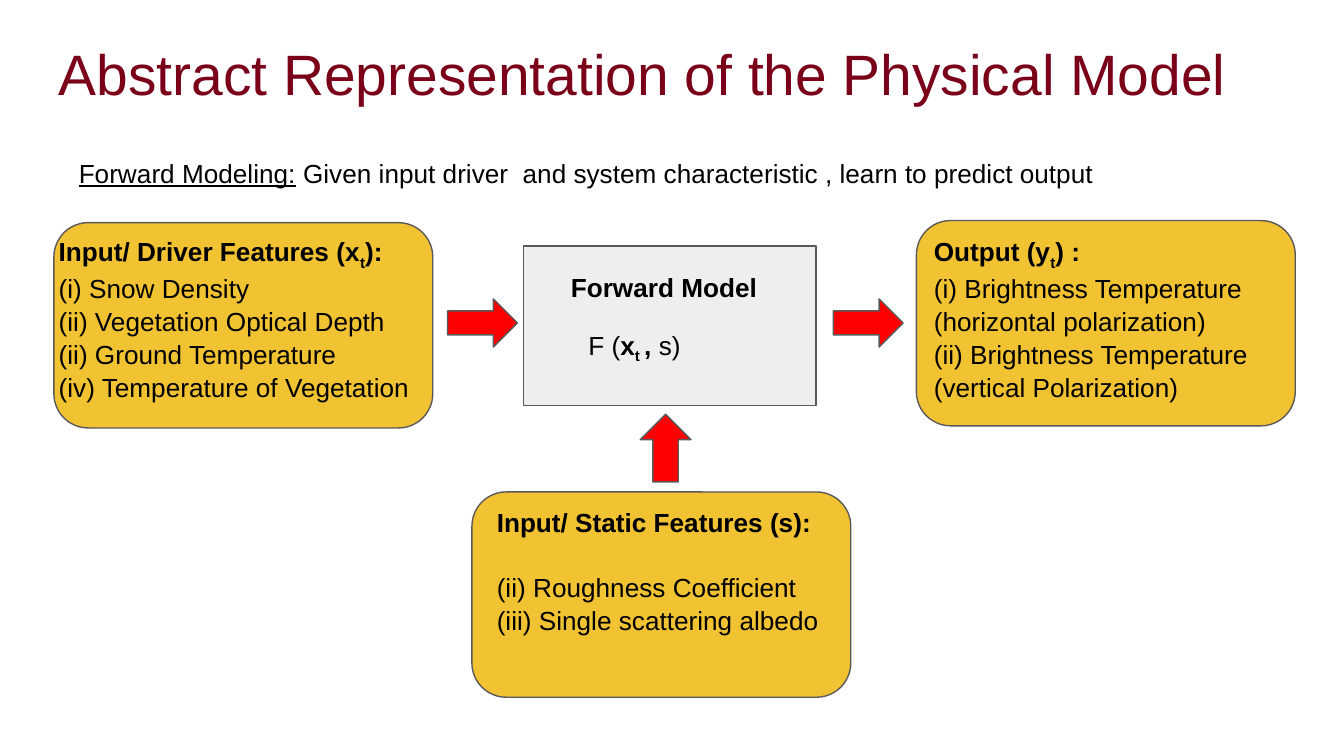
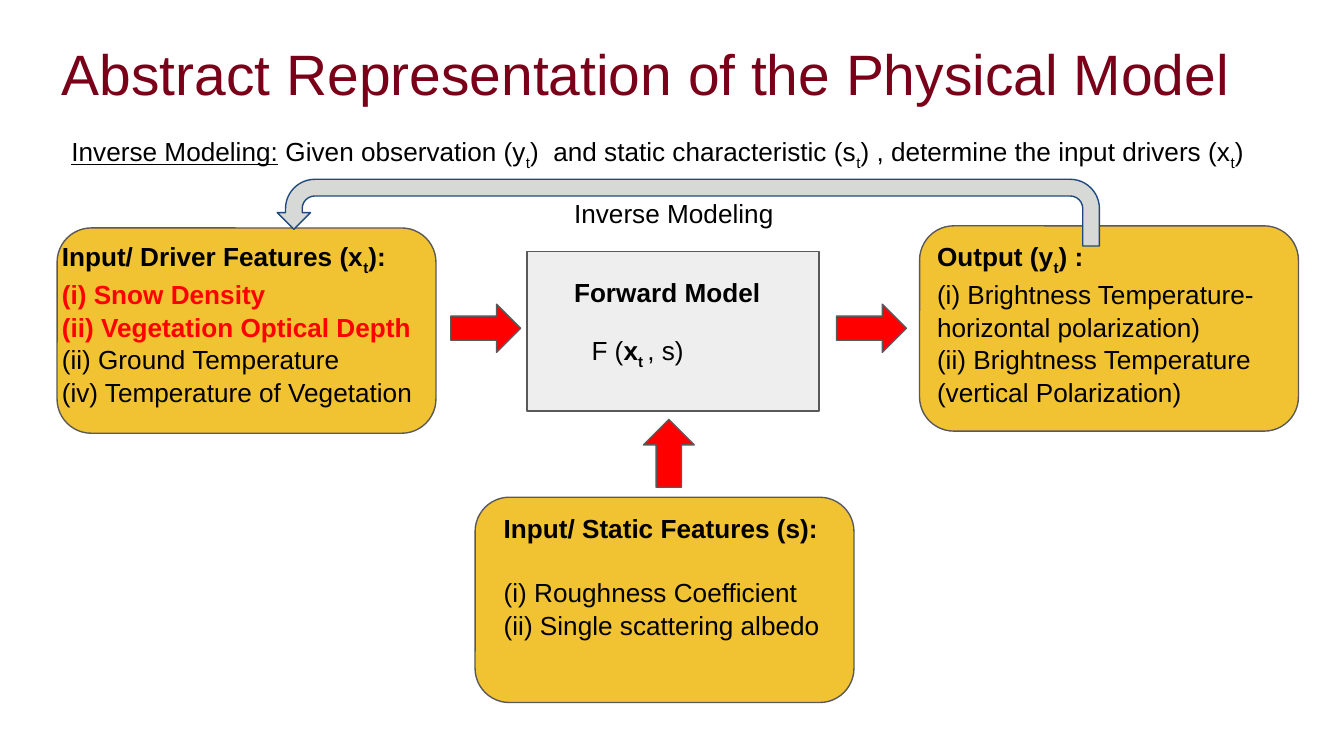
from pptx import Presentation
from pptx.dml.color import RGBColor
from pptx.enum.shapes import MSO_SHAPE as Preset
from pptx.enum.text import MSO_ANCHOR as Anchor, MSO_AUTO_SIZE as AutoSize, PP_ALIGN as Align
from pptx.oxml.ns import qn
from pptx.util import Cm, Pt

MAROON = RGBColor(0x7A, 0x00, 0x19)
GOLD = RGBColor(0xF1, 0xC2, 0x32)
PALE = RGBColor(0xEE, 0xEE, 0xEE)
SILVER = RGBColor(0xD7, 0xD9, 0xD7)
RED = RGBColor(0xFF, 0x00, 0x00)
BLACK = RGBColor(0x00, 0x00, 0x00)
GREY = RGBColor(0x59, 0x59, 0x59)
NAVY = RGBColor(0x1F, 0x49, 0x7D)

FONT = "Arial"
BODY_SIZE = 14
LINE_SPACING = 1.05
INSET = Cm(0.25)
TITLE_ONLY = 5

TITLE = "Abstract Representation of the Physical Model"
LINE_HEIGHT = 1.12
BOX_SIZE = (7.16, 3.88)
ARROW_SIZE = (1.32, 0.91)

# A line is a list of (text, style) runs; style letters:
# b bold, u underlined, s subscript, r red.
DRIVER_HEADING = [("Input/ Driver Features (x", "b"), ("t", "bs"), ("):", "b")]
OUTPUT_HEADING = [("Output (y", "b"), ("t", "bs"), (") :", "b")]
STATIC_HEADING = [("Input/ Static Features (s):", "b")]
DRIVERS = ["(i) Snow Density", "(ii) Vegetation Optical Depth",
           "(ii) Ground Temperature", "(iv) Temperature of Vegetation"]
FORMULA_START = [("F (", ""), ("x", "b"), ("t ", "bs")]


def plain(*texts, style=""):
    """Turn each text into a line of one run."""
    return [[(text, style)] for text in texts]


class Deck:
    def __init__(self):
        self.presentation = Presentation()
        self.presentation.slide_width = Cm(25.4)
        self.presentation.slide_height = Cm(14.29)
        self.slide = None
        self.shift = (0, 0)

    def new_slide(self, shift=(0, 0)):
        """Start a slide whose elements all move by shift."""
        layout = self.presentation.slide_layouts[TITLE_ONLY]
        self.slide = self.presentation.slides.add_slide(layout)
        self.shift = shift

    def place(self, left, top, width, height):
        dx, dy = self.shift
        return Cm(left + dx), Cm(top + dy), Cm(width), Cm(height)

    def set_frame(self, frame, anchor, auto_size):
        frame.word_wrap = True
        frame.vertical_anchor = anchor
        frame.auto_size = auto_size
        frame.margin_left = frame.margin_right = INSET
        frame.margin_top = frame.margin_bottom = INSET

    def set_font(self, run, size, color, style=""):
        font = run.font
        font.name, font.size = FONT, Pt(size)
        font.color.rgb = RED if "r" in style else color
        font.bold = "b" in style
        font.underline = "u" in style
        if "s" in style:
            run._r.get_or_add_rPr().set("baseline", "-25000")

    def title(self, text):
        title = self.slide.shapes.title
        title.left, title.top, title.width, title.height = (
            self.place(0.86, 0.7, 23.67, 1.6))
        frame = title.text_frame
        frame.text = text
        self.set_frame(frame, Anchor.MIDDLE, AutoSize.NONE)
        paragraph = frame.paragraphs[0]
        paragraph.alignment = Align.LEFT
        paragraph.line_spacing = 0.8
        self.set_font(paragraph.runs[0], 30.5, MAROON)

    def text(self, left, top, width, height, lines, heading_gap=0):
        """Write lines of runs; heading_gap is the space after the first."""
        box = self.slide.shapes.add_textbox(*self.place(left, top, width, height))
        frame = box.text_frame
        self.set_frame(frame, Anchor.TOP, AutoSize.SHAPE_TO_FIT_TEXT)
        for number, line in enumerate(lines):
            paragraph = frame.add_paragraph() if number else frame.paragraphs[0]
            paragraph.line_spacing = LINE_SPACING
            if number == 0:
                paragraph.space_after = Pt(heading_gap)
            for text, style in line:
                run = paragraph.add_run()
                run.text = text
                self.set_font(run, BODY_SIZE, BLACK, style)

    def shape(self, preset, left, top, width, height, fill, line=GREY):
        shape = self.slide.shapes.add_shape(
            preset, *self.place(left, top, width, height))
        shape.shadow.inherit = False
        shape.fill.solid()
        shape.fill.fore_color.rgb = fill
        shape.line.color.rgb = line
        shape.line.width = Pt(0.75)
        return shape

    def feedback_arrow(self, left, top, width, height):
        """Draw the U-turn arrow that leads from the output back to the input."""
        arrow = self.shape(Preset.U_TURN_ARROW, left, top, width, height, SILVER, NAVY)
        for number, value in enumerate((0.25, 0.25, 0.25, 0.44, 0.75)):
            arrow.adjustments[number] = value
        arrow.element.spPr.find(qn("a:xfrm")).set("flipH", "1")

    def model_diagram(self, drivers, statics, outputs, formula_end, static_left):
        for left, top in ((17.32, 4.17), (8.92, 9.3), (1.02, 4.21)):
            self.shape(Preset.ROUNDED_RECTANGLE, left, top, *BOX_SIZE, GOLD)
        self.shape(Preset.RECTANGLE, 9.9, 4.65, 5.52, 3.02, PALE)
        self.text(10.54, 4.85, 4.83, LINE_HEIGHT, plain("Forward Model", style="b"))
        self.text(0.86, 4.17, 7.5, 4.12, [DRIVER_HEADING, *drivers])
        self.text(static_left, 9.3, 7.5, 3.5, [STATIC_HEADING, *statics],
                  heading_gap=16.9)
        self.text(17.4, 4.17, 7.5, 4.12, [OUTPUT_HEADING, *outputs])
        for left in (8.46, 15.75):
            self.shape(Preset.RIGHT_ARROW, left, 5.65, *ARROW_SIZE, RED)
        self.shape(Preset.UP_ARROW, 12.1, 7.83, 0.96, 1.28, RED)
        self.text(10.87, 5.94, 3.28, LINE_HEIGHT, [FORMULA_START + formula_end])


def forward_slide(deck):
    deck.new_slide()
    deck.title(TITLE)
    deck.model_diagram(
        drivers=plain(*DRIVERS),
        statics=plain("(ii) Roughness Coefficient", "(iii) Single scattering albedo"),
        outputs=plain("(i) Brightness Temperature (horizontal polarization)",
                      "(ii) Brightness Temperature (vertical Polarization)"),
        formula_end=[(", ", "b"), ("s)", "")],
        static_left=9.14)
    deck.text(1.24, 2.69, 22.94, LINE_HEIGHT, [[
        ("Forward Modeling:", "u"),
        (" Given input driver  and system characteristic , learn to predict output", "")]])


def inverse_slide(deck):
    deck.new_slide(shift=(0.06, 0.1))
    deck.title(TITLE)
    deck.slide.shapes.title.top = Cm(0.7)
    deck.model_diagram(
        drivers=plain(*DRIVERS[:2], style="br") + plain(*DRIVERS[2:]),
        statics=plain("(i) Roughness Coefficient", "(ii) Single scattering albedo"),
        outputs=plain("(i) Brightness Temperature- horizontal polarization)",
                      "(ii) Brightness Temperature (vertical Polarization)"),
        formula_end=[(", s)", "")],
        static_left=9.21)
    deck.text(1.04, 2.18, 23.32, LINE_HEIGHT, [[
        ("Inverse Modeling:", "u"),
        (" Given observation (y", ""), ("t", "s"),
        (")  and static characteristic (s", ""), ("t", "s"),
        (") , determine the input drivers (x", ""), ("t", "s"), (")", "")]])
    deck.feedback_arrow(5.18, 3.29, 15.54, 1.26)
    deck.text(10.54, 3.36, 5.97, LINE_HEIGHT, plain("Inverse Modeling"))


def main():
    deck = Deck()
    forward_slide(deck)
    inverse_slide(deck)
    deck.presentation.save("out.pptx")


if __name__ == "__main__":
    main()
